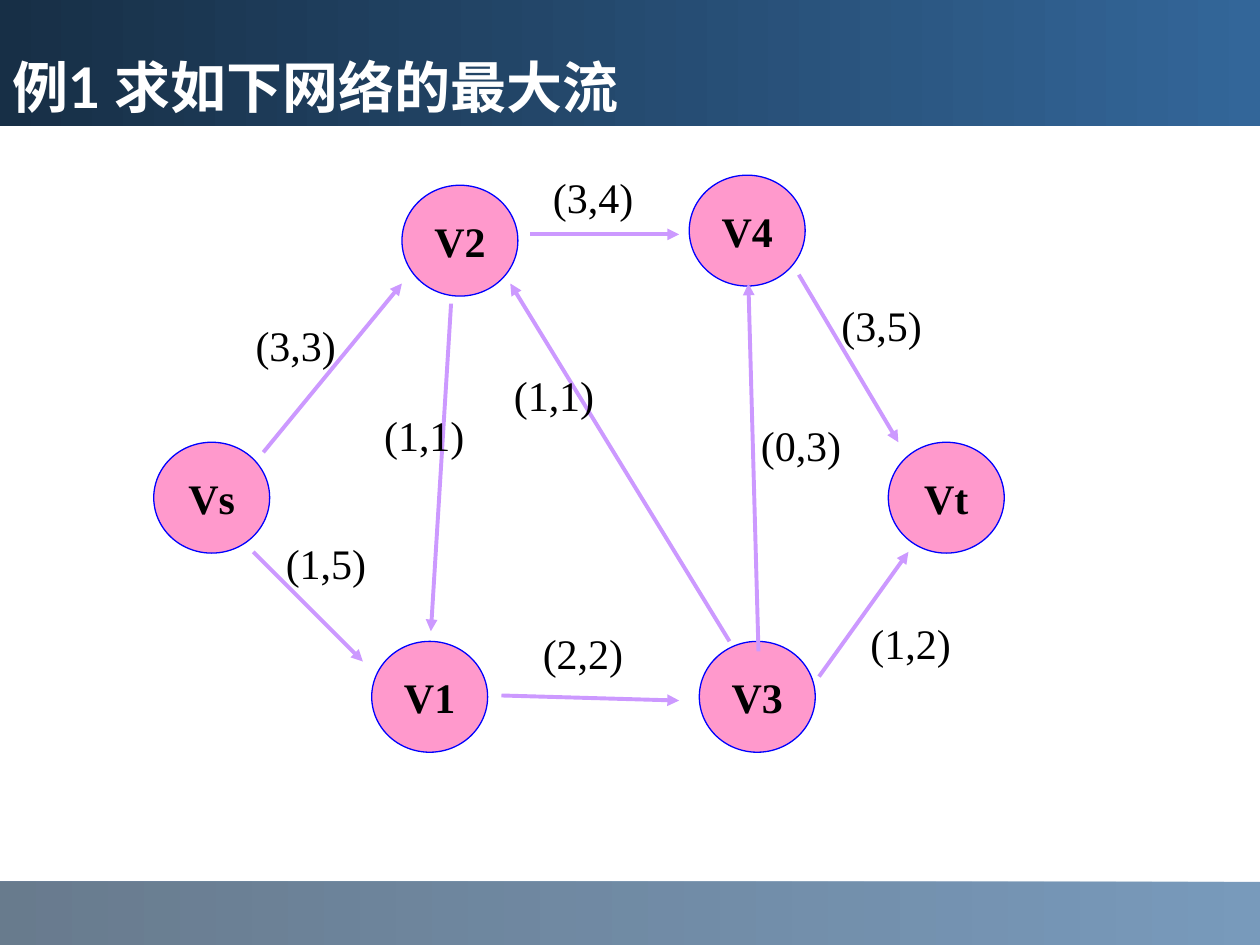
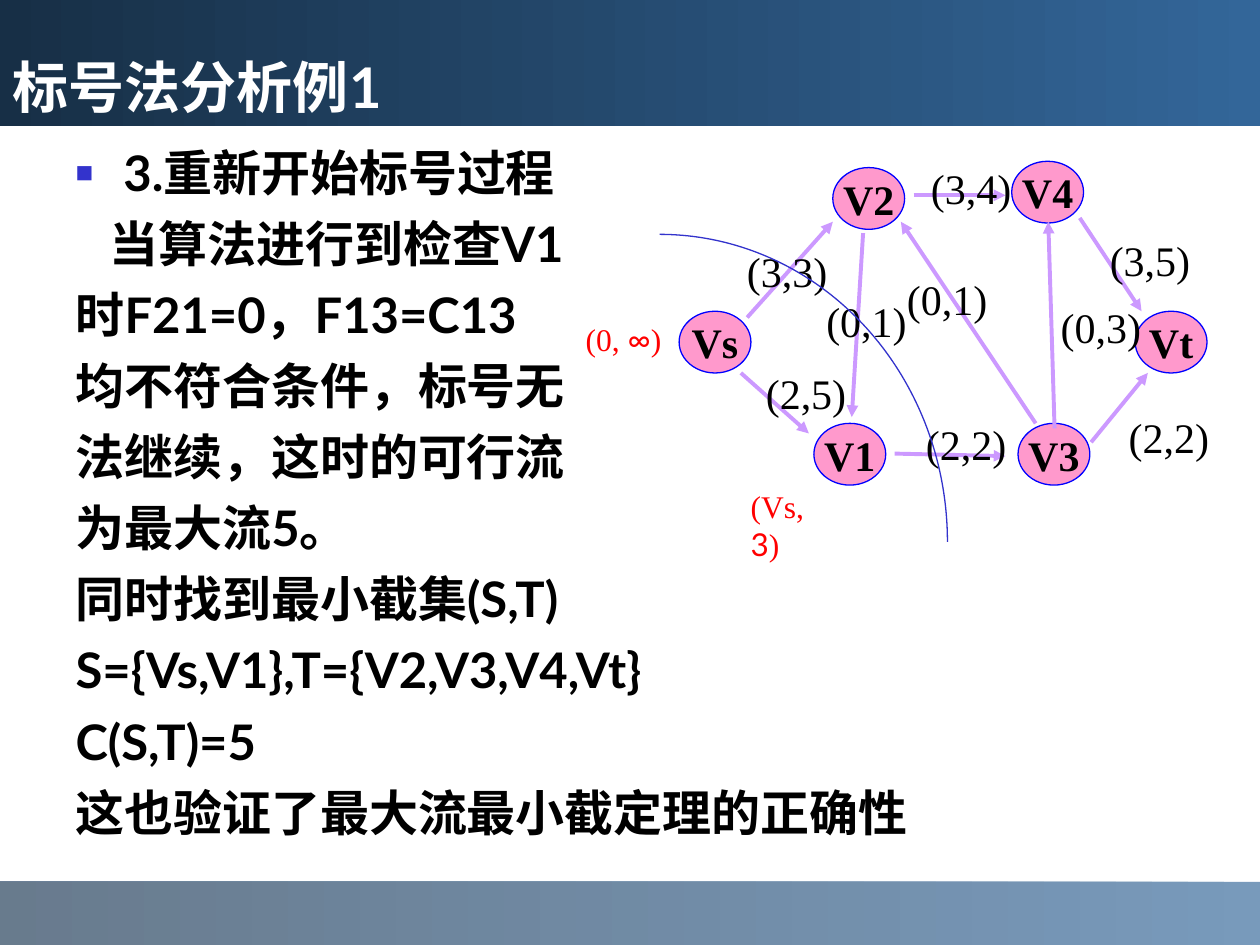
from dataclasses import dataclass

from lxml.etree import SubElement
from pptx import Presentation
from pptx.dml.color import RGBColor
from pptx.enum.shapes import MSO_CONNECTOR, MSO_SHAPE
from pptx.enum.text import MSO_ANCHOR, MSO_AUTO_SIZE, PP_ALIGN
from pptx.oxml.ns import qn
from pptx.util import Emu, Pt

PX = 9144  # EMU per px, 100 px to the inch
COLORS = {
    "white": "FFFFFF", "black": "000000", "red": "FF0000",
    "sky": "336699", "navy": "172F46", "deep": "1B3753",
    "pink": "FF99CC", "blue": "0000FF", "lilac": "CC99FF", "mark": "3333CC",
}
SANS, SERIF = "Lato", "Times New Roman"
TITLE = {"name": SANS, "size": Pt(32), "bold": True}
BODY = {"name": SANS, "size": Pt(28), "bold": True}
NODE = {"name": SERIF, "size": Pt(24), "bold": True}
FLOW = {"name": SERIF, "size": Pt(24), "bold": False}
TAG = {"size": Pt(18), "bold": False}
FIT = {"word_wrap": False, "auto_size": MSO_AUTO_SIZE.SHAPE_TO_FIT_TEXT}
WRAP = {"word_wrap": True, "auto_size": MSO_AUTO_SIZE.NONE}


@dataclass(frozen=True)
class Node:
    name: str
    x: int
    y: int


@dataclass(frozen=True)
class Edge:
    start: tuple[int, int]
    end: tuple[int, int]
    label: tuple[int, int]


@dataclass(frozen=True)
class View:
    """Scale and shift that place the network on a slide."""
    sx: float = 1
    sy: float = 1
    dx: float = 0
    dy: float = 0

    def at(self, x: int, y: int) -> tuple[int, int]:
        return round(x * self.sx + self.dx), round(y * self.sy + self.dy)


@dataclass(frozen=True)
class Tag:
    x: int
    y: int
    width: int
    words: tuple[str, str, str]


NODE_W, NODE_H = 92, 88
NODES = [
    Node("V2", 319, 147), Node("Vt", 705, 351), Node("Vs", 122, 351),
    Node("V1", 295, 509), Node("V4", 547, 139), Node("V3", 555, 509),
]
EDGES = [
    Edge((209, 359), (319, 225), (193, 249)),  # Vs to V2
    Edge((201, 438), (288, 525), (217, 422)),  # Vs to V1
    Edge((421, 186), (539, 186), (429, 131)),  # V2 to V4
    Edge((634, 218), (713, 351), (658, 233)),  # V4 to Vt
    Edge((358, 241), (342, 501), (295, 320)),  # V2 to V1
    Edge((579, 509), (405, 225), (398, 288)),  # V3 to V2
    Edge((398, 552), (539, 556), (421, 493)),  # V1 to V3
    Edge((650, 537), (721, 438), (681, 485)),  # V3 to Vt
    Edge((602, 517), (594, 225), (594, 328)),  # V3 to V4
]
START = ["(3,3)", "(1,5)", "(3,4)", "(3,5)", "(1,1)", "(1,1)", "(2,2)", "(1,2)", "(0,3)"]
FINAL = ["(3,3)", "(2,5)", "(3,4)", "(3,5)", "(0,1)", "(0,1)", "(2,2)", "(2,2)", "(0,3)"]
SMALL = View(0.62, 0.56, 463.5, 50.5)
TAGS = [Tag(455, 249, 82, ("(0, ", "∞", ")")), Tag(586, 382, 91, ("(Vs, ", "3", ")"))]
LINES = [
    "3.重新开始标号过程",
    "当算法进行到检查V1",
    "时F21=0，F13=C13",
    "均不符合条件，标号无",
    "法继续，这时的可行流",
    "为最大流5。",
    "同时找到最小截集(S,T)",
    "S={Vs,V1},T={V2,V3,V4,Vt}",
    "C(S,T)=5",
    "这也验证了最大流最小截定理的正确性",
]


def rgb(name: str) -> RGBColor:
    return RGBColor.from_string(COLORS[name])


def px(*values: int) -> list[Emu]:
    return [Emu(value * PX) for value in values]


def apply(item, values: dict) -> None:
    for key, value in values.items():
        setattr(item, key, value)


def ink(run, style: dict, color: str) -> None:
    apply(run.font, style)
    run.font.color.rgb = rgb(color)


def place(shape, left: int, top: int, width: int, height: int) -> None:
    apply(shape, dict(zip(("left", "top", "width", "height"), px(left, top, width, height))))


def fade(shape, left: str, right: str, alpha: int = 100) -> None:
    shape.fill.gradient()
    shape.fill.gradient_angle = 180
    for stop, color in zip(shape.fill.gradient_stops, (right, left)):
        stop.color.rgb = rgb(color)
    if alpha < 100:
        for tone in shape._element.spPr.iter(qn("a:srgbClr")):
            SubElement(tone, qn("a:alpha"), val=str(alpha * 1000))


def edge_line(shape, color: str, width: float) -> None:
    shape.line.color.rgb = rgb(color)
    shape.line.width = Pt(width)


def add_page(prs, layout: int, text: str):
    slide = prs.slides.add_slide(prs.slide_layouts[layout])
    # Title bar
    title = slide.shapes.title
    place(title, 0, 0, 1000, 100)
    fade(title, "navy", "sky")
    frame = title.text_frame
    frame.text = text
    apply(frame, WRAP | {"vertical_anchor": MSO_ANCHOR.BOTTOM})
    frame.paragraphs[0].alignment = PP_ALIGN.LEFT
    ink(frame.paragraphs[0].runs[0], TITLE, "white")
    # Footer band
    band = slide.shapes.add_shape(MSO_SHAPE.RECTANGLE, *px(0, 700, 1000, 50))
    band.shadow.inherit = False
    band.line.fill.background()
    fade(band, "deep", "sky", 66)
    return slide


def add_node(slide, node: Node, view: View) -> None:
    size = round(NODE_W * view.sx), round(NODE_H * view.sy)
    oval = slide.shapes.add_shape(MSO_SHAPE.OVAL, *px(*view.at(node.x, node.y), *size))
    oval.shadow.inherit = False
    oval.fill.solid()
    oval.fill.fore_color.rgb = rgb("pink")
    edge_line(oval, "blue", 0.75)
    frame = oval.text_frame
    frame.text = node.name
    apply(frame, {"word_wrap": False, "vertical_anchor": MSO_ANCHOR.MIDDLE})
    frame.paragraphs[0].alignment = PP_ALIGN.CENTER
    ink(frame.paragraphs[0].runs[0], NODE, "black")


def add_edge(slide, edge: Edge, view: View) -> None:
    ends = px(*view.at(*edge.start), *view.at(*edge.end))
    arrow = slide.shapes.add_connector(MSO_CONNECTOR.STRAIGHT, *ends)
    edge_line(arrow, "lilac", 2.25)
    SubElement(arrow.line._get_or_add_ln(), qn("a:tailEnd"), type="triangle")
    SubElement(arrow._element.spPr, qn("a:effectLst"))


def add_flow(slide, edge: Edge, flow: str, view: View) -> None:
    box = slide.shapes.add_textbox(*px(*view.at(*edge.label), 84, 50))
    box.text_frame.text = flow
    apply(box.text_frame, FIT)
    ink(box.text_frame.paragraphs[0].runs[0], FLOW, "black")


def add_graph(slide, flows: list[str], view: View) -> None:
    for node in NODES:
        add_node(slide, node, view)
    for edge in EDGES:
        add_edge(slide, edge, view)
    for edge, flow in zip(EDGES, flows):
        add_flow(slide, edge, flow, view)


def add_tag(slide, tag: Tag) -> None:
    box = slide.shapes.add_textbox(*px(tag.x, tag.y, tag.width, 40))
    apply(box.text_frame, FIT | {"word_wrap": True})
    for text, face in zip(tag.words, (SERIF, SANS, SERIF)):
        run = box.text_frame.paragraphs[0].add_run()
        run.text = text
        ink(run, TAG | {"name": face}, "red")


def add_bullet(props) -> None:
    tone = SubElement(props, qn("a:buClr"))
    SubElement(tone, qn("a:srgbClr"), val=COLORS["mark"])
    SubElement(props, qn("a:buSzPct"), val="60000")
    SubElement(props, qn("a:buChar"), char="■")


def fill_body(body) -> None:
    place(body, 50, 108, 900, 583)
    frame = body.text_frame
    frame.text = "\n".join(LINES)
    apply(frame, WRAP)
    for row, para in enumerate(frame.paragraphs):
        props = para._p.get_or_add_pPr()
        hang = -11 if row == 1 else -38
        props.set("marL", str(38 * PX))
        props.set("indent", str(hang * PX))
        if row == 0:
            add_bullet(props)
        else:
            SubElement(props, qn("a:buNone"))
        para.space_before = Pt(7 if row else 0)
        ink(para.runs[0], BODY, "black")


def main() -> None:
    prs = Presentation()
    prs.slide_width, prs.slide_height = px(1000, 750)

    # Network with its starting flow
    first = add_page(prs, 5, "例1 求如下网络的最大流")
    add_graph(first, START, View())

    # Labelling result with the minimum cut
    second = add_page(prs, 1, "标号法分析例1")
    fill_body(second.placeholders[1])
    add_graph(second, FINAL, SMALL)
    for tag in TAGS:
        add_tag(second, tag)
    cut = second.shapes.add_shape(MSO_SHAPE.ARC, *px(295, 186, 457, 488))
    cut.shadow.inherit = False
    cut.fill.background()
    edge_line(cut, "mark", 0.75)

    prs.save("out.pptx")


if __name__ == "__main__":
    main()
